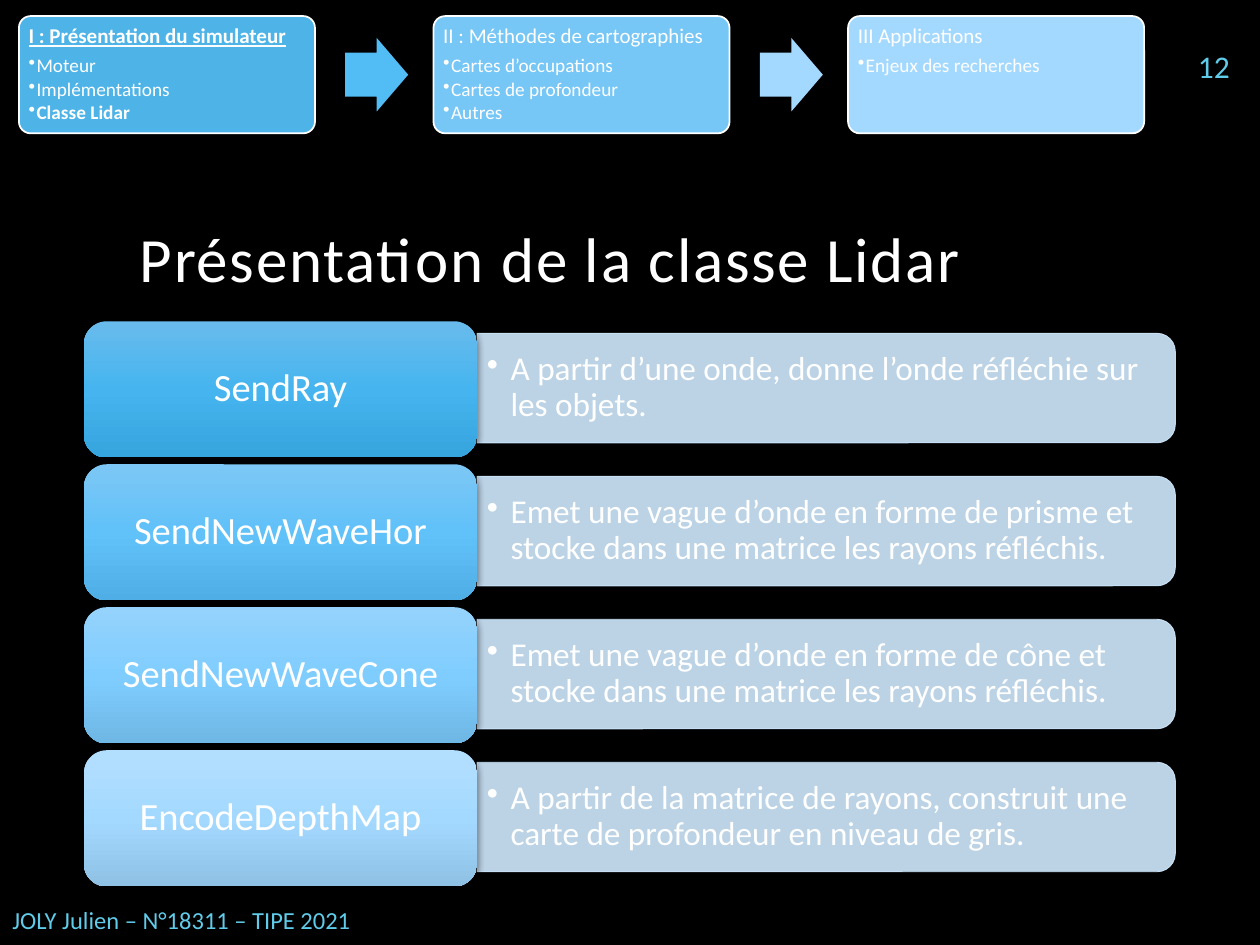
from copy import deepcopy
from dataclasses import dataclass

from lxml import etree
from pptx import Presentation
from pptx.dml.color import RGBColor
from pptx.enum import shapes, text
from pptx.oxml.ns import qn
from pptx.util import Pt


@dataclass(frozen=True)
class Theme:
    font: str = "Calibri"
    background: str = "000000"
    white: str = "FFFFFF"
    accent: str = "60CCEA"
    panel: str = "D1EAFF"
    title: float = 36
    card: float = 22
    panel_text: float = 19
    number: float = 18
    footer: float = 14
    step: float = 12
    step_item: float = 11


THEME = Theme()
TITLE = "Présentation de la classe Lidar"
FOOTER = "JOLY Julien – N°18311 – TIPE 2021"
NUMBER = "12"

# heading, items, fill, colour of the arrow that follows
STEPS = [
    ("I : Présentation du simulateur", ["Moteur", "Implémentations", "Classe Lidar"],
     "4EB3E7", "52BCF4"),
    ("II : Méthodes de cartographies",
     ["Cartes d’occupations", "Cartes de profondeur", "Autres"], "76C6F6", "A3D9FF"),
    ("III Applications", ["Enjeux des recherches"], "A4D9FF", None),
]
CURRENT = ("I : Présentation du simulateur", "Classe Lidar")

# method, description, gradient from top to bottom
METHODS = [
    ("SendRay", "A partir d’une onde, donne l’onde réfléchie sur les objets.",
     ("68BBEC", "46B5EF", "36A4DD")),
    ("SendNewWaveHor", "Emet une vague d’onde en forme de prisme et stocke dans "
     "une matrice les rayons réfléchis.", ("7CC7F5", "61C1F9", "4FAEE5")),
    ("SendNewWaveCone", "Emet une vague d’onde en forme de cône et stocke dans "
     "une matrice les rayons réfléchis.", ("95D3FC", "7FCDFF", "6FB7E5")),
    ("EncodeDepthMap", "A partir de la matrice de rayons, construit une carte de "
     "profondeur en niveau de gris.", ("B3DFFF", "A4D9FF", "8FC1E5")),
]

STEP_LEFT, STEP_TOP, STEP_WIDTH, STEP_HEIGHT, STEP_PITCH = 10.8, 9.2, 169.2, 67, 236.9
ARROW_OFFSET, ARROW_WIDTH, ARROW_HEIGHT = 186.5, 36, 42
CARD_LEFT, CARD_TOP, CARD_WIDTH, CARD_HEIGHT, CARD_PITCH = 48, 183.6, 224.6, 77.8, 81.7
PANEL_WIDTH, PANEL_HEIGHT, PANEL_OFFSET = 399, 62.6, 6.9


def rgb(colour):
    return RGBColor.from_string(colour)


def points(*values):
    return [Pt(value) for value in values]


def add_shape(page, kind, area, colour=None, line=None, line_width=1):
    box = page.shapes.add_shape(kind, *points(*area))
    box.shadow.inherit = False
    if colour:
        box.fill.solid()
        box.fill.fore_color.rgb = rgb(colour)
    if line:
        box.line.color.rgb = rgb(line)
        box.line.width = Pt(line_width)
    else:
        box.line.fill.background()
    return box


def set_frame(box, anchor, side=7.2, edge=3.6):
    frame = box.text_frame
    frame.word_wrap = True
    frame.vertical_anchor = anchor
    frame.margin_left = frame.margin_right = Pt(side)
    frame.margin_top = frame.margin_bottom = Pt(edge)
    return frame


def write(para, words, size, colour=THEME.white, align=text.PP_ALIGN.LEFT,
          spacing=0.9, after=0, bold=False, underline=False):
    para.alignment = align
    para.line_spacing = spacing
    para.space_before, para.space_after = Pt(0), Pt(after)
    span = para.add_run()
    span.text = words
    span.font.name = THEME.font
    span.font.size = Pt(size)
    span.font.color.rgb = rgb(colour)
    span.font.bold = bold
    span.font.underline = underline
    return span


def add_bullet(para, indent):
    para.level = 1
    properties = para._p.get_or_add_pPr()
    properties.set("marL", str(Pt(indent)))
    properties.set("indent", str(-Pt(indent)))
    etree.SubElement(properties, qn("a:buChar")).set("char", "•")


def set_alpha(box, percent):
    for colour in box._element.spPr.iter(qn("a:srgbClr")):
        etree.SubElement(colour, qn("a:alpha")).set("val", str(percent * 1000))


def set_gradient(box, colours):
    box.fill.gradient()
    box.fill.gradient_angle = 270
    stop_list = box._element.spPr.find(".//" + qn("a:gsLst"))
    stop_list.append(deepcopy(stop_list[0]))
    for index, (stop, colour) in enumerate(zip(box.fill.gradient_stops, colours)):
        stop.position = index / 2
        stop.color.rgb = rgb(colour)


def add_shadow(box):
    effects = box._element.spPr.find(qn("a:effectLst"))
    shadow = etree.SubElement(effects, qn("a:outerShdw"), blurRad=str(Pt(4.5)),
                              dist=str(Pt(1.5)), dir="5400000", rotWithShape="0")
    colour = etree.SubElement(shadow, qn("a:srgbClr"), val=THEME.background)
    etree.SubElement(colour, qn("a:alpha"), val="63000")


def add_label(page, area, words, size, anchor, align):
    box = page.shapes.add_textbox(*points(*area))
    frame = set_frame(box, anchor)
    write(frame.paragraphs[0], words, size, THEME.accent, align, spacing=1)


def add_step(page, index, heading, items, colour, arrow_colour):
    left = STEP_LEFT + index * STEP_PITCH
    box = add_shape(page, shapes.MSO_SHAPE.ROUNDED_RECTANGLE,
                    (left, STEP_TOP, STEP_WIDTH, STEP_HEIGHT), colour, THEME.white)
    box.adjustments[0] = 0.1
    frame = set_frame(box, text.MSO_ANCHOR.TOP, 3.6)
    current = heading in CURRENT
    write(frame.paragraphs[0], heading, THEME.step, after=4.2,
          bold=current, underline=current)
    for item in items:
        para = frame.add_paragraph()
        add_bullet(para, 4.5)
        write(para, item, THEME.step_item, after=1.65, bold=item in CURRENT)
    if arrow_colour:
        top = STEP_TOP + (STEP_HEIGHT - ARROW_HEIGHT) / 2
        arrow = add_shape(page, shapes.MSO_SHAPE.RIGHT_ARROW,
                          (left + ARROW_OFFSET, top, ARROW_WIDTH, ARROW_HEIGHT),
                          arrow_colour)
        arrow.adjustments[0] = 0.6


def add_method(page, index, name, description, colours):
    top = CARD_TOP + index * CARD_PITCH
    left, panel_top = CARD_LEFT + CARD_WIDTH, top + PANEL_OFFSET
    # The panel is an upright shape turned a quarter about its centre.
    shift = (PANEL_WIDTH - PANEL_HEIGHT) / 2
    panel = add_shape(page, shapes.MSO_SHAPE.ROUND_2_SAME_RECTANGLE,
                      (left + shift, panel_top - shift, PANEL_HEIGHT, PANEL_WIDTH),
                      THEME.panel, THEME.panel, 0.5)
    panel.rotation = 90
    set_alpha(panel, 90)

    box = page.shapes.add_textbox(*points(left, panel_top + 3, PANEL_WIDTH - 3,
                                          PANEL_HEIGHT - 6))
    para = set_frame(box, text.MSO_ANCHOR.MIDDLE, 5.7, 2.85).paragraphs[0]
    add_bullet(para, 13.5)
    write(para, description, THEME.panel_text)

    card = add_shape(page, shapes.MSO_SHAPE.ROUNDED_RECTANGLE,
                     (CARD_LEFT, top, CARD_WIDTH, CARD_HEIGHT))
    set_gradient(card, colours)
    add_shadow(card)
    frame = set_frame(card, text.MSO_ANCHOR.MIDDLE, 6.6, 3.3)
    write(frame.paragraphs[0], name, THEME.card, align=text.PP_ALIGN.CENTER)


def main():
    deck = Presentation()
    deck.slide_width, deck.slide_height = points(720, 540)
    page = deck.slides.add_slide(deck.slide_layouts[5])
    page.background.fill.solid()
    page.background.fill.fore_color.rgb = rgb(THEME.background)

    title = page.shapes.title
    title.left, title.top, title.width, title.height = points(72.7, 90.7, 581.8, 82.1)
    frame = set_frame(title, text.MSO_ANCHOR.BOTTOM)
    span = write(frame.paragraphs[0], TITLE, THEME.title)
    span.font._element.set("spc", "100")

    add_label(page, (0, 513.4, 283.7, 24.5), FOOTER, THEME.footer,
              text.MSO_ANCHOR.TOP, text.PP_ALIGN.LEFT)
    add_label(page, (654.5, 9.4, 55.4, 56.9), NUMBER, THEME.number,
              text.MSO_ANCHOR.MIDDLE, text.PP_ALIGN.RIGHT)
    for index, method in enumerate(METHODS):
        add_method(page, index, *method)
    for index, step in enumerate(STEPS):
        add_step(page, index, *step)
    deck.save("out.pptx")


if __name__ == "__main__":
    main()
